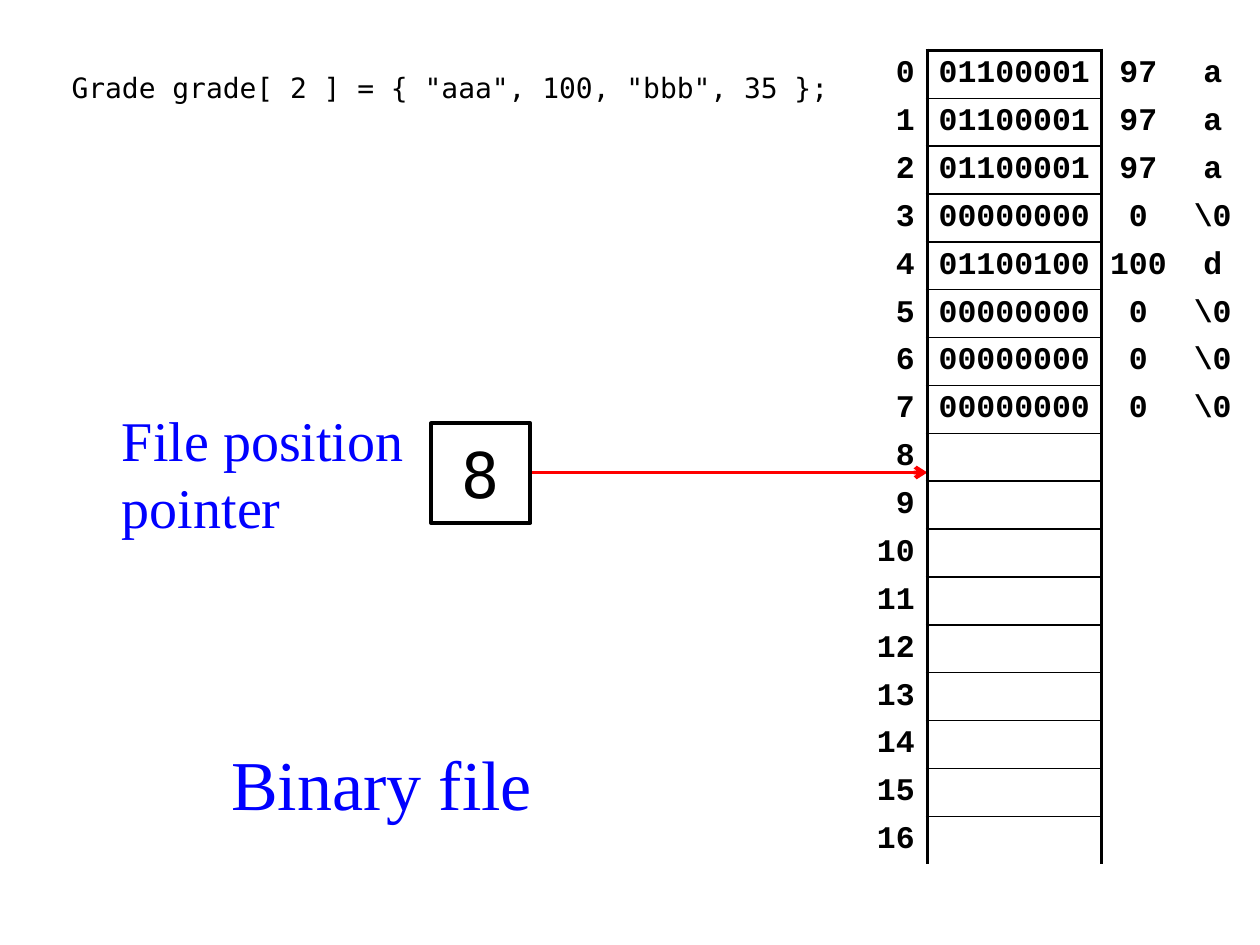
from lxml import etree
from pptx import Presentation
from pptx import util as u
from pptx.dml.color import RGBColor
from pptx.enum import shapes, text
from pptx.oxml.ns import qn

BLACK, BLUE, RED = "000000", "0000FF", "FF0000"
SERIF, MONO, COURIER = "Times New Roman", "DejaVu Sans Mono", "Courier New"
LEFT, CENTER, RIGHT = text.PP_ALIGN.LEFT, text.PP_ALIGN.CENTER, text.PP_ALIGN.RIGHT
THICK, THIN = 2.25, 1


def color(value):
    return RGBColor.from_string(value)


class SlideBuilder:
    def __init__(self, page):
        self.page = page

    def add_lines(self, frame, lines, font, size, ink, align=LEFT, bold=False):
        frame.vertical_anchor = text.MSO_ANCHOR.MIDDLE
        for index, line in enumerate(lines):
            para = frame.add_paragraph() if index else frame.paragraphs[0]
            para.alignment = align
            span = para.add_run()
            span.text = line
            span.font.name = font
            span.font.size = u.Pt(size)
            span.font.bold = bold
            span.font.color.rgb = color(ink)

    def label(self, place, lines, font, size, ink, align=LEFT, wrap=True):
        box = self.page.shapes.add_textbox(*map(u.Inches, place))
        box.text_frame.word_wrap = wrap
        self.add_lines(box.text_frame, lines, font, size, ink, align)

    def square(self, place, line, size):
        box = self.page.shapes.add_shape(shapes.MSO_SHAPE.RECTANGLE, *map(u.Inches, place))
        box.shadow.inherit = False
        box.fill.background()
        box.line.color.rgb = color(BLACK)
        box.line.width = u.Pt(THICK)
        box.text_frame.word_wrap = False
        self.add_lines(box.text_frame, [line], MONO, size, BLACK, CENTER)

    def arrow(self, start, end):
        line = self.page.shapes.add_connector(
            shapes.MSO_CONNECTOR.STRAIGHT, *map(u.Inches, start + end))
        line.line.color.rgb = color(RED)
        line.line.width = u.Pt(THICK)
        properties = line._element.spPr
        etree.SubElement(properties.find(qn("a:ln")), qn("a:tailEnd"), type="arrow")
        etree.SubElement(properties, qn("a:effectLst"))

    def borders(self, cell, widths):
        props = cell._tc.get_or_add_tcPr()
        for side in "LRTB":
            width = widths.get(side, 0)
            edge = etree.SubElement(props, qn("a:ln" + side), w=str(int(u.Pt(width))))
            if width:
                fill = etree.SubElement(edge, qn("a:solidFill"))
                etree.SubElement(fill, qn("a:srgbClr"), val=BLACK)
            else:
                etree.SubElement(edge, qn("a:noFill"))

    def memory_table(self, place, widths, rows):
        frame = self.page.shapes.add_table(len(rows), len(widths), *map(u.Inches, place))
        table = frame.table
        table.first_row = table.horz_banding = False
        for column, width in zip(table.columns, widths):
            column.width = u.Inches(width)
        aligns = [RIGHT, CENTER, CENTER, CENTER]
        sides = [0.1, 0.08, 0.06, 0.1]
        last = len(rows) - 1
        for r, values in enumerate(rows):
            byte_edges = {"L": THICK, "R": THICK, "T": THIN if r else THICK,
                          "B": THIN if r < last else 0}
            edges = [{"R": THICK}, byte_edges, {"L": THICK}, {}]
            for c, value in enumerate(values):
                cell = table.cell(r, c)
                cell.margin_left = cell.margin_right = u.Inches(sides[c])
                cell.margin_top = cell.margin_bottom = u.Inches(0.04)
                cell.vertical_anchor = text.MSO_ANCHOR.MIDDLE
                self.borders(cell, edges[c])
                cell.fill.background()
                if value:
                    self.add_lines(cell.text_frame, [value], COURIER, 18, BLACK,
                                   aligns[c], True)


def byte_row(address, value):
    if value is None:
        return [str(address), "", "", ""]
    return [str(address), f"{value:08b}", str(value), chr(value) if value else "\\0"]


deck = Presentation()
deck.slide_width, deck.slide_height = u.Inches(10), u.Inches(7.5)
slide = SlideBuilder(deck.slides.add_slide(deck.slide_layouts[6]))

stored = [97, 97, 97, 0, 100, 0, 0, 0]
memory = stored + [None] * 9

slide.label((1.65, 5.72, 2.76, 0.98), ["Binary file"], SERIF, 40, BLUE, CENTER)
slide.arrow((4.21, 3.75), (7.36, 3.75))
slide.square((3.42, 3.36, 0.79, 0.79), "8", 36)
slide.memory_table((6.77, 0.4, 3.15, 6.44), [0.59, 1.38, 0.59, 0.59],
                   [byte_row(address, value) for address, value in enumerate(memory)])
slide.label((0.87, 3.16, 2.56, 1.18), ["File position", "pointer"], SERIF, 32, BLUE, wrap=False)
slide.label((0.47, 0.4, 6.3, 0.59), ['Grade grade[ 2 ] = { "aaa", 100, "bbb", 35 };'],
            MONO, 16, BLACK)

deck.save("out.pptx")
